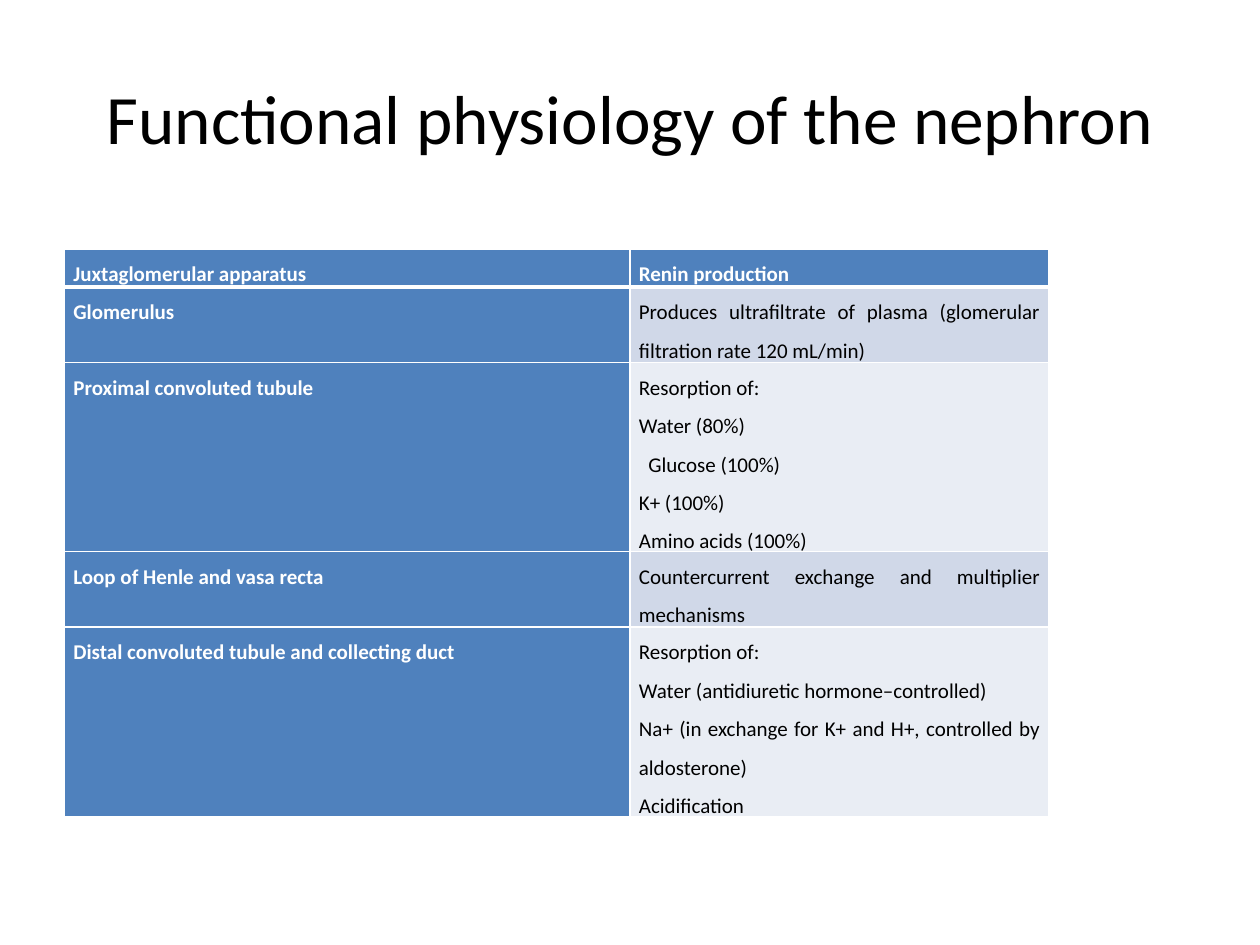
from lxml.etree import SubElement
from pptx import Presentation
from pptx.dml.color import RGBColor
from pptx.enum.text import MSO_ANCHOR as Anchor, PP_ALIGN as Align
from pptx.oxml.ns import qn
from pptx.util import Cm, Pt


def color(value):
    return RGBColor.from_string(value)


def write(paragraph, text, style, align, spacing):
    paragraph.alignment = align
    paragraph.line_spacing = spacing
    run = paragraph.add_run()
    run.text = text
    run.font.color.rgb = color(style["ink"])
    for key in ("name", "size", "bold"):
        setattr(run.font, key, style[key])


title_style = {"name": "Calibri", "size": Pt(39.6), "bold": False, "ink": "000000"}
segment_style = {"name": "Calibri", "size": Pt(12), "bold": True, "ink": "FFFFFF"}
function_style = {**segment_style, "bold": False, "ink": "000000"}
cell_format = {"margin_left": Cm(0.18), "margin_right": Cm(0.18),
               "margin_top": 0, "margin_bottom": 0, "vertical_anchor": Anchor.TOP}
segments = [
    ("Juxtaglomerular apparatus", ["Renin production"], 1),
    ("Glomerulus",
     ["Produces ultrafiltrate of plasma (glomerular filtration rate 120 mL/min)"], 2),
    ("Proximal convoluted tubule",
     ["Resorption of:", "Water (80%)", "Glucose (100%)", "K+ (100%)",
      "Amino acids (100%)"], 5),
    ("Loop of Henle and vasa recta",
     ["Countercurrent exchange and multiplier mechanisms"], 2),
    ("Distal convoluted tubule and collecting duct",
     ["Resorption of:", "Water (antidiuretic hormone–controlled)",
      "Na+ (in exchange for K+ and H+, controlled by aldosterone)",
      "Acidification"], 5),
]

deck = Presentation()
deck.slide_width, deck.slide_height = Cm(25.4), Cm(19.05)
slide = deck.slides.add_slide(deck.slide_layouts[6])

title = slide.shapes.add_textbox(Cm(1.27), Cm(0.76), Cm(22.86), Cm(3.18)).text_frame
title.word_wrap = True
title.vertical_anchor = Anchor.MIDDLE
write(title.paragraphs[0], "Functional physiology of the nephron",
      title_style, Align.CENTER, 1.0)

line_height = Cm(0.76)
nephron = slide.shapes.add_table(len(segments), 2, Cm(1.3), Cm(5.02),
                                 Cm(19.85), line_height * 15).table
nephron.columns[0].width, nephron.columns[1].width = Cm(11.4), Cm(8.45)

for row, (segment, functions, line_count) in enumerate(segments):
    nephron.rows[row].height = line_height * line_count
    header = row == 0
    band = "4F81BD" if header else ("E9EDF4", "D0D8E8")[row % 2]
    body_style = segment_style if header else function_style
    columns = [([segment], segment_style, "4F81BD"), (functions, body_style, band)]
    for column, (lines, style, fill) in enumerate(columns):
        cell = nephron.cell(row, column)
        for key, value in cell_format.items():
            setattr(cell, key, value)
        properties = cell._tc.get_or_add_tcPr()
        for side in "LRTB":
            heavy = (row, side) in [(0, "B"), (1, "T")]
            border = SubElement(properties, qn(f"a:ln{side}"), w=str(Pt(3 if heavy else 1)))
            SubElement(SubElement(border, qn("a:solidFill")), qn("a:srgbClr"), val="FFFFFF")
        cell.fill.solid()
        cell.fill.fore_color.rgb = color(fill)
        for index, line in enumerate(lines):
            frame = cell.text_frame
            paragraph = frame.add_paragraph() if index else frame.paragraphs[0]
            write(paragraph, line, style, Align.JUSTIFY, 1.5)
            if line.startswith("Glucose"):
                paragraph._p.get_or_add_pPr().set("marL", str(Cm(0.19)))

deck.save("out.pptx")
